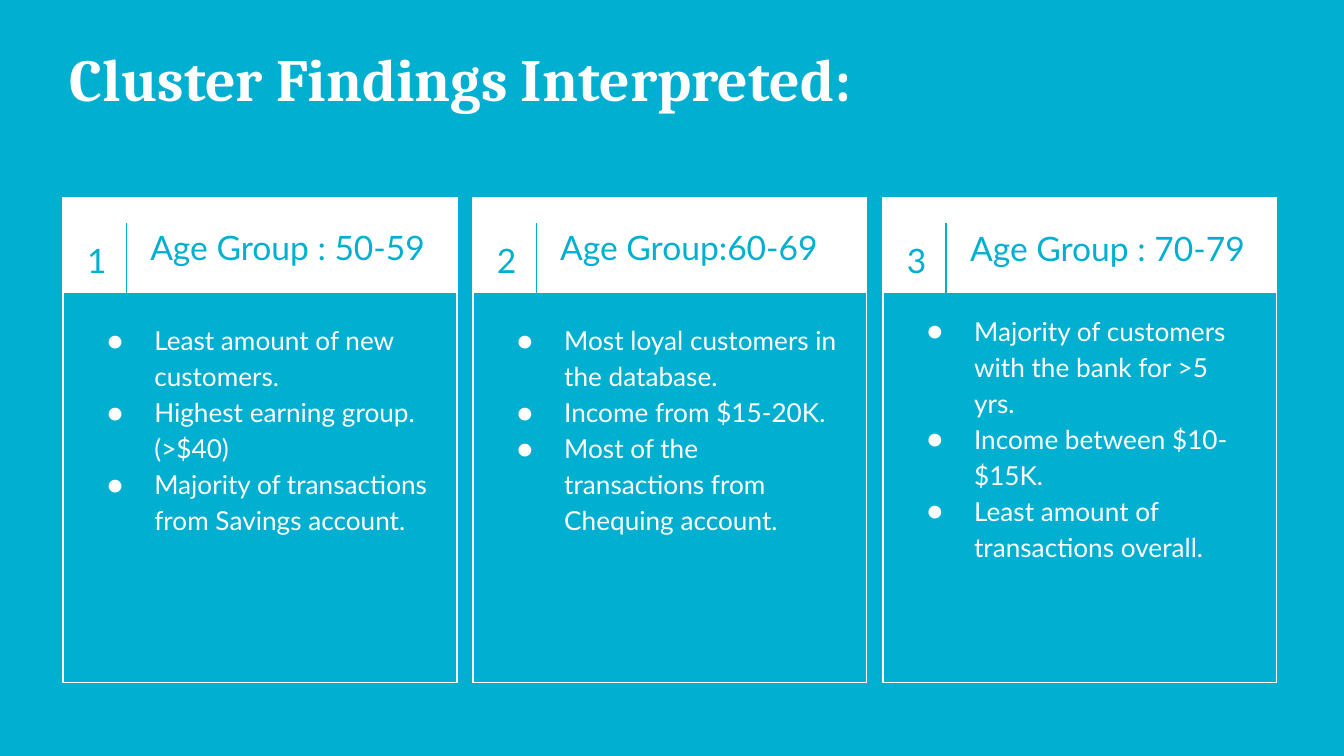
"""Build the slide of three age group cards with their cluster findings."""
from lxml.etree import SubElement as Sub
from pptx import Presentation
from pptx.dml.color import RGBColor as Rgb
from pptx.enum.shapes import MSO_CONNECTOR as Conn, MSO_SHAPE as Shape
from pptx.enum.text import MSO_ANCHOR as Anchor, PP_ALIGN as Align
from pptx.oxml.ns import qn
from pptx.util import Inches, Pt

BLUE, WHITE = "01AFD1", "FFFFFF"
TITLE = "Cluster Findings Interpreted:"
CARDS = [
    {"head": "Age Group : 50-59", "head_box": (1.46, 0.75), "list_box": (2.28, 2.99),
     "points": ["Least amount of new customers.",
                "Highest earning group. (>$40)",
                "Majority of transactions from Savings account."]},
    {"head": "Age Group:60-69", "head_box": (1.48, 0.71), "list_box": (2.28, 2.6),
     "points": ["Most loyal customers in the database.",
                "Income from $15-20K.",
                "Most of the transactions from Chequing account."]},
    {"head": "Age Group : 70-79", "head_box": (1.47, 0.75), "list_box": (2.21, 2.6),
     "points": ["Majority of customers with the bank for >5 yrs.",
                "Income between $10-$15K.",
                "Least amount of transactions overall."]},
]
PAGE = 10
LEFT, TOP, STEP = 0.47, 1.47, 3.05
WIDE, HIGH, BAND = 2.93, 3.61, 0.71


def color(code):
    return Rgb.from_string(code)


def add_box(group, box, fill=None, line=None):
    rect = group.shapes.add_shape(Shape.RECTANGLE, *map(Inches, box))
    rect.shadow.inherit = False
    if fill:
        rect.fill.solid()
        rect.fill.fore_color.rgb = color(fill)
    else:
        rect.fill.background()
    if line:
        rect.line.color.rgb = color(line)
        rect.line.width = Pt(0.75)
    else:
        rect.line.fill.background()


def add_rule(slide, x, top, end):
    rule = slide.shapes.add_connector(
        Conn.STRAIGHT, *map(Inches, (x, top, x, end)))
    rule.line.color.rgb = color(BLUE)
    rule.line.width = Pt(0.75)
    Sub(rule.element.spPr, qn("a:effectLst"))


def add_bullet(para, font):
    props = para._p.get_or_add_pPr()
    props.set("marL", str(Inches(0.5)))
    props.set("indent", str(Inches(-0.35)))
    tint = Sub(props, qn("a:buClr"))
    Sub(tint, qn("a:srgbClr"), val=WHITE)
    Sub(props, qn("a:buFont"), typeface=font)
    Sub(props, qn("a:buChar"), char="●")


def add_text(slide, box, lines, size, ink, font="Lato", bold=False,
             anchor=Anchor.TOP, align=Align.LEFT, space=None, bullet=False):
    frame = slide.shapes.add_textbox(*map(Inches, box)).text_frame
    frame.word_wrap = True
    frame.vertical_anchor = anchor
    frame.margin_left = frame.margin_right = Inches(0.1)
    frame.margin_top = frame.margin_bottom = Inches(0.1)
    for i, line in enumerate(lines):
        para = frame.add_paragraph() if i else frame.paragraphs[0]
        para.alignment = align
        para.line_spacing = space
        if bullet:
            add_bullet(para, font)
        run = para.add_run()
        run.text = line
        run.font.name = font
        run.font.size = Pt(size)
        run.font.bold = bold
        run.font.color.rgb = color(ink)


def add_card(slide, i, card):
    x = LEFT + i * STEP
    group = slide.shapes.add_group_shape()
    add_box(group, (x, TOP, WIDE, HIGH), line=WHITE)
    add_box(group, (x, TOP, WIDE, BAND), fill=WHITE)
    add_text(slide, (x + 0.06, 1.46, 0.38, 0.9), [str(i + 1)], 18, BLUE,
             anchor=Anchor.MIDDLE, align=Align.CENTER, space=1.15)
    add_rule(slide, x + 0.47, 1.66, TOP + BAND)
    top, high = card["head_box"]
    add_text(slide, (x + 0.55, top, 2.3, high), [card["head"]], 18, BLUE,
             anchor=Anchor.MIDDLE)
    top, high = card["list_box"]
    add_text(slide, (x + 0.08, top, 2.77, high), card["points"],
             14, WHITE, space=1.15, bullet=True)


def main():
    deck = Presentation()
    deck.slide_width, deck.slide_height = Inches(PAGE), Inches(PAGE * 9 / 16)
    slide = deck.slides.add_slide(deck.slide_layouts[6])
    slide.background.fill.solid()
    slide.background.fill.fore_color.rgb = color(BLUE)
    add_text(slide, (0.42, 0.21, 9.15, 0.75), [TITLE], 32, WHITE,
             font="Cambria", bold=True)
    for i, card in enumerate(CARDS):
        add_card(slide, i, card)
    deck.save("out.pptx")


if __name__ == "__main__":
    main()
